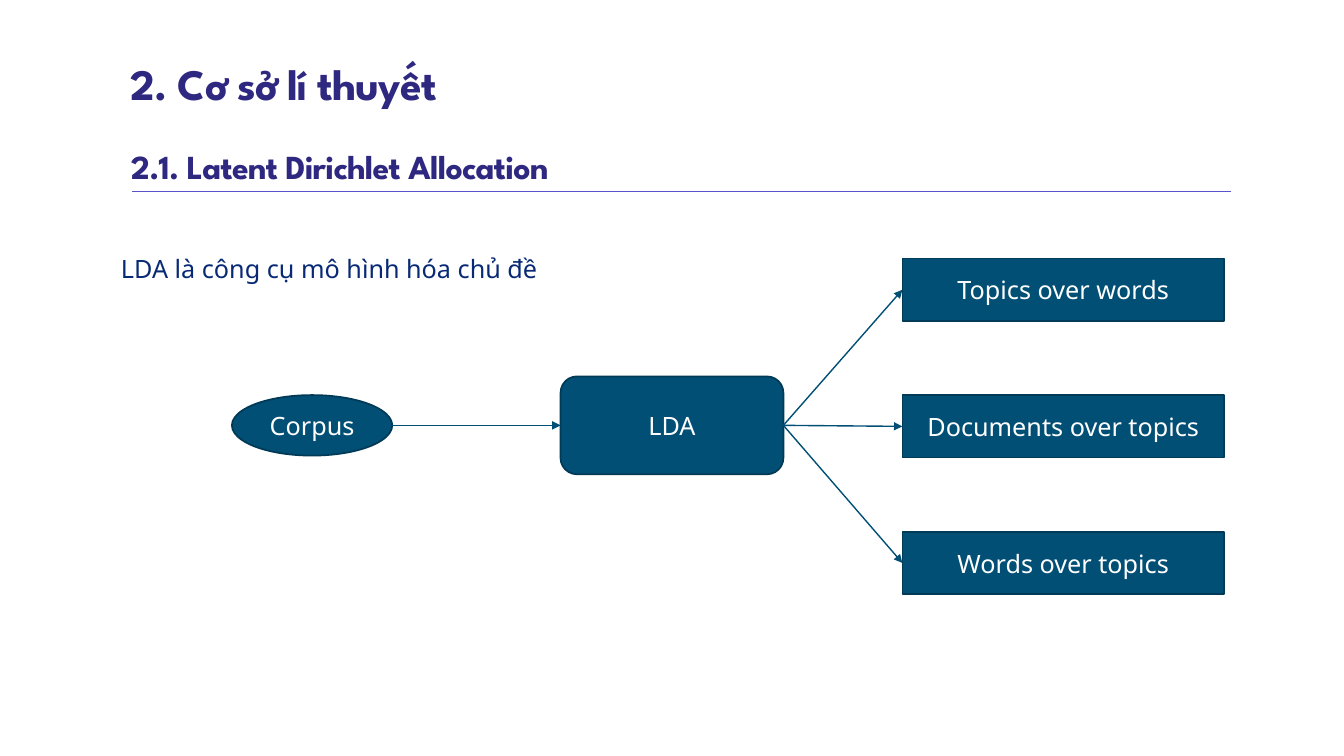
from lxml import etree
from pptx import Presentation
from pptx.dml.color import RGBColor
from pptx.enum.shapes import MSO_CONNECTOR, MSO_SHAPE
from pptx.enum.text import MSO_ANCHOR, PP_ALIGN
from pptx.oxml.ns import qn
from pptx.util import Inches, Pt

STRAIGHT = MSO_CONNECTOR.STRAIGHT
RECTANGLE, ROUNDED, OVAL = MSO_SHAPE.RECTANGLE, MSO_SHAPE.ROUNDED_RECTANGLE, MSO_SHAPE.OVAL
MIDDLE, BOTTOM, CENTER = MSO_ANCHOR.MIDDLE, MSO_ANCHOR.BOTTOM, PP_ALIGN.CENTER

TEAL, TEAL_DARK, WHITE = "024F75", "013A57", "FFFFFF"
INDIGO, NAVY, VIOLET = "2F2880", "082A75", "5A52C8"
TEXT_LEFT, TEXT_WIDTH = 1.2, 11
AXIS = 4.22

presentation = Presentation()
presentation.slide_width, presentation.slide_height = Inches(13.33), Inches(7.5)
slide = presentation.slides.add_slide(presentation.slide_layouts[6])


def write(paragraph, text, size, name, color, bold=False):
    run = paragraph.add_run()
    run.text = text
    formats = {"size": Pt(size), "name": name, "bold": bold}
    for attribute, value in formats.items():
        setattr(run.font, attribute, value)
    run.font.color.rgb = RGBColor.from_string(color)
    return run


def connect(start, end, color, width, arrow=True):
    points = [Inches(value) for value in (*start, *end)]
    connector = slide.shapes.add_connector(STRAIGHT, *points)
    connector.line.color.rgb = RGBColor.from_string(color)
    connector.line.width = Pt(width)
    if arrow:
        line = connector.line._get_or_add_ln()
        etree.SubElement(line, qn("a:tailEnd"), type="triangle")
    etree.SubElement(connector._element.spPr, qn("a:effectLst"))


# Heading
connect((1.31, 1.9), (12.21, 1.9), VIOLET, 0.5, arrow=False)
title = slide.shapes.add_textbox(Inches(TEXT_LEFT), Inches(0.31), Inches(TEXT_WIDTH), Inches(1.59))
title.text_frame.word_wrap = True
title.text_frame.vertical_anchor = BOTTOM
section = title.text_frame.paragraphs[0]
subsection = title.text_frame.add_paragraph()
subsection.space_before = Pt(31)
for paragraph, text, size in (
    (section, "2. Cơ sở lí thuyết", 31),
    (subsection, "2.1. Latent Dirichlet Allocation", 24),
):
    paragraph.line_spacing = 0.85
    run = write(paragraph, text, size, "League Spartan", INDIGO, bold=True)
    run.font._element.set("spc", "-50")

# Introduction
body = slide.shapes.add_textbox(Inches(TEXT_LEFT), Inches(2.5), Inches(TEXT_WIDTH / 2), Inches(0.45))
body.text_frame.word_wrap = True
body.text_frame.margin_left = body.text_frame.margin_right = 0
introduction = body.text_frame.paragraphs[0]
introduction.line_spacing = 0.9
write(introduction, "LDA là công cụ mô hình hóa chủ đề", 18, "Noto Sans", NAVY)

# Diagram: kind, text, left, vertical centre, width, height
OUTPUT_LEFT, OUTPUT_STEP = 8.95, 1.355
outputs = ["Topics over words", "Documents over topics", "Words over topics"]
output_centers = [AXIS + 0.01 + (row - 1) * OUTPUT_STEP for row in range(len(outputs))]
nodes = [
    (ROUNDED, "LDA", 5.56, AXIS, 2.21, 0.97),
    (OVAL, "Corpus", 2.3, AXIS, 1.59, 0.6),
]
for text, center in zip(outputs, output_centers):
    nodes.append((RECTANGLE, text, OUTPUT_LEFT, center, 3.19, 0.62))

for kind, text, left, center, width, height in nodes:
    shape = slide.shapes.add_shape(
        kind, Inches(left), Inches(center - height / 2), Inches(width), Inches(height)
    )
    shape.shadow.inherit = False
    shape.fill.solid()
    shape.fill.fore_color.rgb = RGBColor.from_string(TEAL)
    shape.line.color.rgb = RGBColor.from_string(TEAL_DARK)
    shape.line.width = Pt(1.25)
    shape.text_frame.word_wrap = True
    shape.text_frame.vertical_anchor = MIDDLE
    label = shape.text_frame.paragraphs[0]
    label.alignment = CENTER
    write(label, text, 18, "Noto Sans", WHITE)

connect((3.89, AXIS), (5.56, AXIS), TEAL, 1)
for center in output_centers:
    connect((7.77, AXIS), (OUTPUT_LEFT, center), TEAL, 1)

presentation.save("out.pptx")
